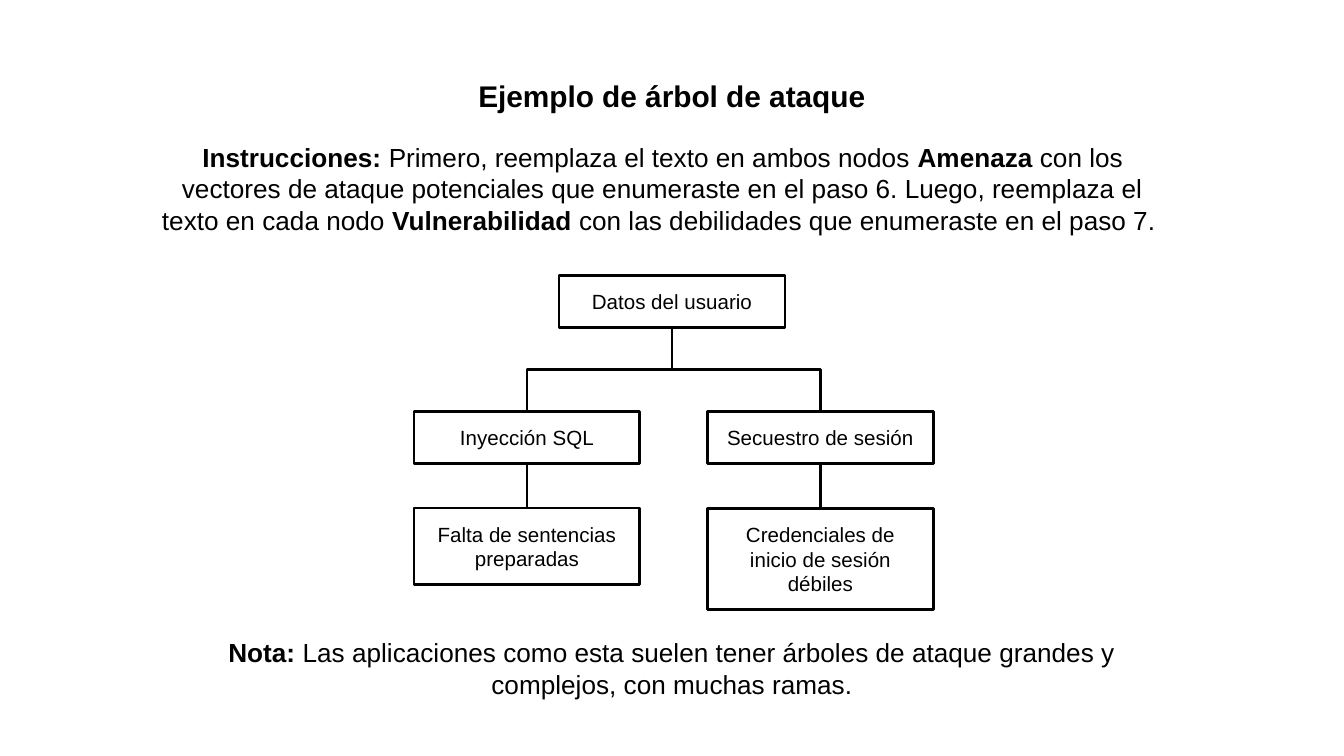
from lxml.etree import SubElement
from pptx import Presentation
from pptx.dml.color import RGBColor
from pptx.enum.shapes import MSO_CONNECTOR as Link, MSO_SHAPE as Shape
from pptx.enum.text import MSO_ANCHOR as Anchor, PP_ALIGN as Align
from pptx.oxml.ns import qn
from pptx.util import Pt

INK, PAPER = "000000", "FFFFFF"
NODE_W, NODE_H = 121, 28
ROOT_TOP, THREAT_TOP, FLAW_TOP = 147.6, 220.3, 272.2
BOTTOM, TOP = 2, 0  # connection sites of a rectangle


def color(code):
    return RGBColor.from_string(code)


def write(frame, text, size=14, bold=False, anchor=Anchor.TOP):
    """Fill a frame with centred text; parts between asterisks switch bold."""
    frame.word_wrap = True
    frame.vertical_anchor = anchor
    frame.margin_left = frame.margin_right = Pt(7.2)
    frame.margin_top = frame.margin_bottom = Pt(7.2)
    para = frame.paragraphs[0]
    para.alignment = Align.CENTER
    para.line_spacing = 1.0
    para.space_before = Pt(0)
    for i, part in enumerate(text.split("*")):
        if part:
            run = para.add_run()
            run.text = part
            font = run.font
            font.name, font.size = "Arial", Pt(size)
            font.bold = bold or i % 2 == 1
            font.color.rgb = color(INK)


class Board:
    def __init__(self, deck, line=1.5):
        self.slide = deck.slides.add_slide(deck.slide_layouts[5])
        self.shapes = self.slide.shapes
        self.line = line
        fill = self.slide.background.fill
        fill.solid()
        fill.fore_color.rgb = color(PAPER)

    def stroke(self, item):
        item.line.color.rgb = color(INK)
        item.line.width = Pt(self.line)

    def title(self, text, x, y, w, h):
        head = self.shapes.title
        head.left, head.top, head.width, head.height = map(Pt, (x, y, w, h))
        write(head.text_frame, text, size=16, bold=True)

    def note(self, text, x, y, w, h):
        box = self.shapes.add_textbox(*map(Pt, (x, y, w, h)))
        write(box.text_frame, text)

    def node(self, text, mid, y, h=NODE_H):
        """Add a tree node centred on mid."""
        box = self.shapes.add_shape(
            Shape.RECTANGLE, Pt(mid - NODE_W / 2), Pt(y), Pt(NODE_W), Pt(h))
        box.shadow.inherit = False
        box.fill.background()
        self.stroke(box)
        write(box.text_frame, text, size=11, anchor=Anchor.MIDDLE)
        return box

    def join(self, upper, lower):
        """Link two nodes with an elbow that leaves downwards."""
        x1, y1 = upper.left + upper.width // 2, upper.top + upper.height
        x2, y2 = lower.left + lower.width // 2, lower.top
        link = self.shapes.add_connector(Link.ELBOW, x1, y1, x2, y2)
        link.begin_connect(upper, BOTTOM)
        link.end_connect(lower, TOP)
        # The elbow runs sideways by default, so turn its frame a quarter.
        wide, high = y2 - y1, abs(x2 - x1)
        link.left, link.top = (x1 + x2 - wide) // 2, (y1 + y2 - high) // 2
        link.width, link.height = wide, high
        props = link._element.spPr
        frame = props.find(qn("a:xfrm"))
        frame.set("rot", "5400000")
        frame.set("flipH", "0")
        frame.set("flipV", "1" if x2 > x1 else "0")
        self.stroke(link)
        SubElement(props, qn("a:effectLst"))


def main():
    deck = Presentation()
    deck.slide_width, deck.slide_height = Pt(720), Pt(405)
    board = Board(deck)
    board.title("Ejemplo de árbol de ataque", 93.6, 34.6, 532.8, 33.8)
    board.note(
        "*Instrucciones: *Primero, reemplaza el texto en ambos nodos *Amenaza* "
        "con los vectores de ataque potenciales que enumeraste en el paso 6. "
        "Luego, reemplaza el texto en cada nodo *Vulnerabilidad* con las "
        "debilidades que enumeraste en el paso 7. ", 74.2, 68.4, 561.6, 65.5)
    board.note(
        "*Nota: *Las aplicaciones como esta suelen tener árboles de ataque "
        "grandes y complejos, con muchas ramas.", 93.6, 334, 532.8, 48.2)

    root = board.node("Datos del usuario", 360, ROOT_TOP)
    branches = [
        (282.3, "Inyección SQL", "Falta de sentencias preparadas", 41),
        (439.5, "Secuestro de sesión",
         "Credenciales de inicio de sesión débiles", 54.5),
    ]
    for mid, threat, flaw, high in branches:
        upper = board.node(threat, mid, THREAT_TOP)
        lower = board.node(flaw, mid, FLAW_TOP, high)
        board.join(root, upper)
        board.join(upper, lower)
    deck.save("out.pptx")


if __name__ == "__main__":
    main()
